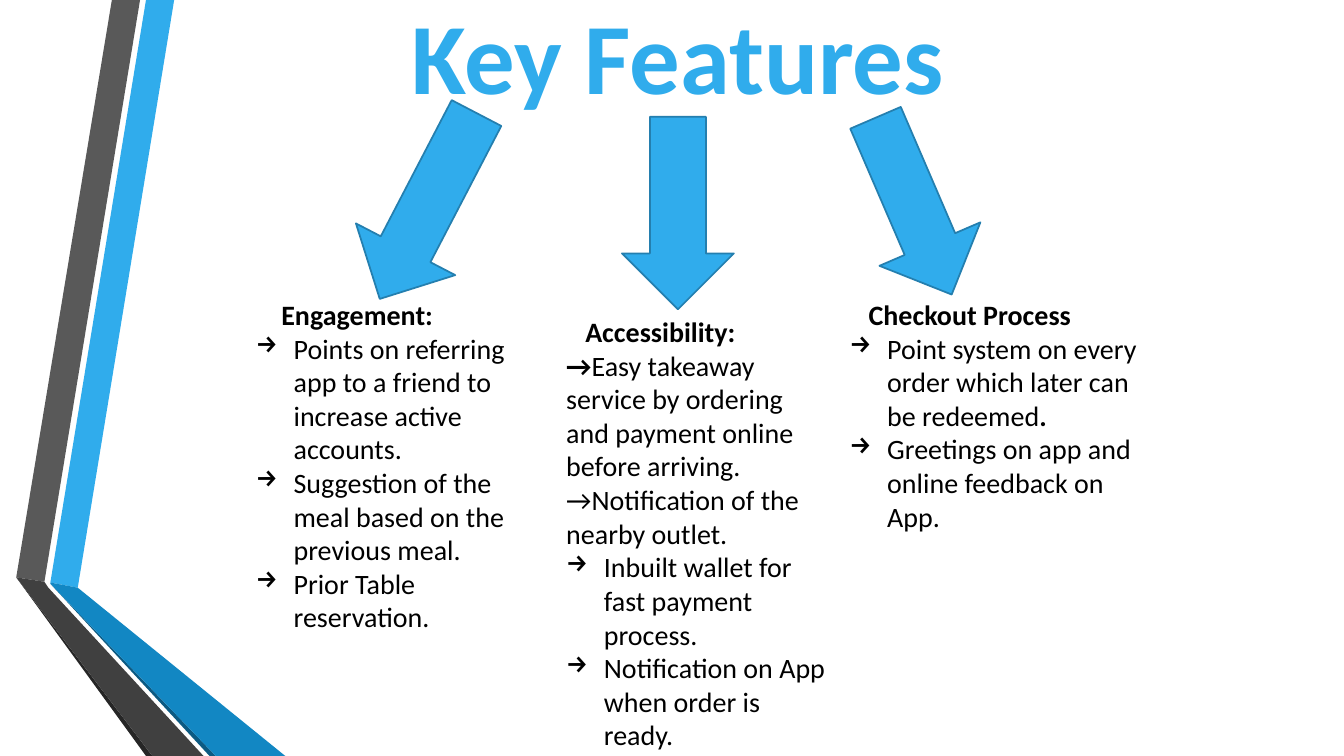
"""Build the Key Features slide with three arrows and three feature columns."""
from lxml.etree import SubElement
from pptx import Presentation
from pptx.dml.color import RGBColor
from pptx.enum.shapes import MSO_SHAPE
from pptx.enum.text import MSO_ANCHOR, MSO_AUTO_SIZE, PP_ALIGN
from pptx.oxml.ns import qn
from pptx.util import Cm, Pt

COLORS = {
    "blue": "30ACEC", "mid_blue": "1287C3", "deep_blue": "0C5A82", "outline": "247FAF",
    "gray": "595959", "dark_gray": "404040", "near_black": "262626", "black": "000000",
}
FONT = "Calibri"


def color(name):
    return RGBColor.from_string(COLORS[name])


def style(span, size, name, bold):
    span.font.name = FONT
    span.font.size = Pt(size)
    span.font.bold = bold
    span.font.color.rgb = color(name)


deck = Presentation()
deck.slide_width, deck.slide_height = Cm(33.87), Cm(19.05)
page = deck.slides.add_slide(deck.slide_layouts[5])

# Ribbon corners are in hundredths of a centimetre.
ribbons = [
    ("blue", [(127, 1468), (196, 1481), (439, 0), (368, 0)]),
    ("gray", [(353, 0), (282, 0), (41, 1455), (112, 1466)]),
    ("near_black", [(41, 1455), (368, 1905), (384, 1905)]),
    ("deep_blue", [(127, 1471), (528, 1905), (544, 1905)]),
    ("mid_blue", [(127, 1468), (127, 1471), (544, 1905), (719, 1905), (196, 1481)]),
    ("dark_gray", [(41, 1455), (384, 1905), (513, 1905), (122, 1481), (112, 1466)]),
]
for name, corners in ribbons:
    builder = page.shapes.build_freeform(*corners[0], scale=Cm(0.01))
    builder.add_line_segments(corners[1:], close=True)
    ribbon = builder.convert_to_shape()
    ribbon.shadow.inherit = False
    ribbon.fill.solid()
    ribbon.fill.fore_color.rgb = color(name)
    ribbon.line.fill.background()

title = page.shapes.title
title.left, title.top, title.width, title.height = Cm(9.65), Cm(-0.28), Cm(14.86), Cm(3.33)
frame = title.text_frame
frame.text = "Key Features"
frame.word_wrap = False
frame.auto_size = MSO_AUTO_SIZE.NONE
frame.vertical_anchor = MSO_ANCHOR.TOP
frame.paragraphs[0].alignment = PP_ALIGN.CENTER
style(frame.paragraphs[0].runs[0], 72, "blue", True)

arrows = [
    (8.15, 3.78, 5.28, 2.82, 297.5),
    (14.66, 3.96, 4.85, 2.82, 270),
    (20.6, 3.81, 4.85, 2.77, 246.7),
]
for left, top, width, height, angle in arrows:
    arrow = page.shapes.add_shape(
        MSO_SHAPE.LEFT_ARROW, Cm(left), Cm(top), Cm(width), Cm(height))
    arrow.rotation = angle
    arrow.shadow.inherit = False
    arrow.fill.solid()
    arrow.fill.fore_color.rgb = color("blue")
    arrow.line.color.rgb = color("outline")
    arrow.line.width = Pt(1.25)

columns = [
    ((6.2, 7.37, 6.78, 10.52), "Engagement:", 0.64, [
        (True, [("Points on referring app to a friend to increase active accounts.", False)]),
        (True, [("Suggestion of the meal based on the previous meal.", False)]),
        (True, [("Prior Table reservation.", False)]),
    ]),
    ((14.02, 7.8, 7.14, 11.38), "Accessibility:", 0.48, [
        (False, [("→", True), ("Easy takeaway service by ordering and payment online "
                               "before arriving.", False)]),
        (False, [("→Notification of the nearby outlet.", False)]),
        (True, [("Inbuilt wallet for fast payment process.", False)]),
        (True, [("Notification on App when order is ready.", False)]),
    ]),
    ((21.16, 7.37, 8.26, 8.71), "Checkout Process", 0.48, [
        (True, [("Point system on every order which later can be redeemed", False),
                (".", True)]),
        (True, [("Greetings on app and online feedback on App.", False)]),
    ]),
]
for place, heading, heading_indent, items in columns:
    box = page.shapes.add_textbox(*map(Cm, place))
    frame = box.text_frame
    frame.word_wrap = True
    frame.text = heading
    para = frame.paragraphs[0]
    para._p.get_or_add_pPr().set("indent", str(Cm(heading_indent)))
    style(para.runs[0], 20, "black", True)
    for bulleted, spans in items:
        para = frame.add_paragraph()
        if bulleted:
            properties = para._p.get_or_add_pPr()
            properties.set("marL", str(Cm(0.95)))
            properties.set("indent", str(Cm(-0.95)))
            SubElement(properties, qn("a:buChar")).set("char", "→")
        for text, bold in spans:
            span = para.add_run()
            span.text = text
            style(span, 20, "black", bold)

deck.save("out.pptx")
